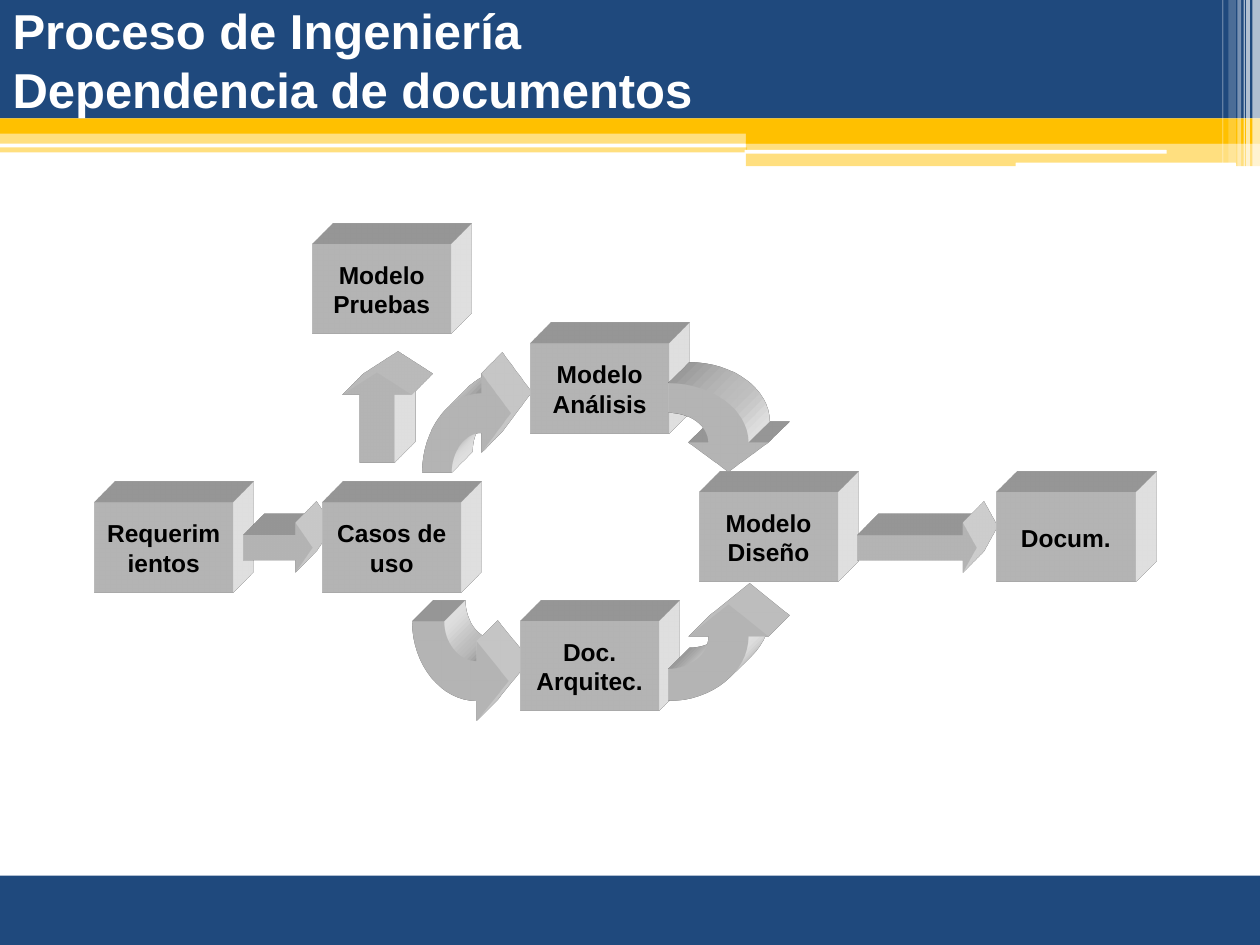
from lxml import etree
from pptx import Presentation
from pptx import util as u
from pptx.dml.color import RGBColor
from pptx.enum import shapes, text
from pptx.oxml import parse_xml
from pptx.oxml.ns import nsdecls, qn

COLORS = {"navy": "1F497D", "gold": "FFC000", "white": "FFFFFF", "black": "000000"}
FONT = "Arial"
BOX_WIDTH, BOX_HEIGHT = 1.1, 0.71
ARC_HANDLE = 0.55
SCENE = """<a:scene3d %s><a:camera prst="legacyObliqueTopRight"/>
<a:lightRig rig="legacyFlat3" dir="b"/></a:scene3d>""" % nsdecls("a")
SOLID = """<a:sp3d %s extrusionH="430200" prstMaterial="legacyMatte">
<a:bevelT w="13500" h="13500" prst="angle"/><a:bevelB w="13500" h="13500" prst="angle"/>
<a:extrusionClr><a:srgbClr val="%s"/></a:extrusionClr></a:sp3d>""" % (nsdecls("a"), COLORS["white"])


def write(frame, content, size=14, color="black", align=text.PP_ALIGN.CENTER):
    frame.word_wrap = True
    frame.vertical_anchor = text.MSO_ANCHOR.MIDDLE
    frame.text = content
    for paragraph in frame.paragraphs:
        paragraph.alignment = align
        for run in paragraph.runs:
            run.font.name = FONT
            run.font.size = u.Pt(size)
            run.font.bold = True
            run.font.color.rgb = RGBColor.from_string(COLORS[color])


def bend(lines):
    """Turn three line segments of a path into one cubic curve."""
    curve = etree.Element(qn("a:cubicBezTo"))
    lines[0].addprevious(curve)
    for line in lines:
        curve.append(line[0])
        line.getparent().remove(line)


def fit_path(shape, left, top, width, height):
    """Give the shape this frame while its outline stays in place."""
    path = shape._element.spPr.find(".//" + qn("a:path"))
    for point in path.iter(qn("a:pt")):
        point.set("x", str(int(point.get("x")) + shape.left - left))
        point.set("y", str(int(point.get("y")) + shape.top - top))
    path.set("w", str(width))
    path.set("h", str(height))
    shape.left, shape.top, shape.width, shape.height = left, top, width, height


class Canvas:
    def __init__(self, slide):
        self.slide = slide

    def paint(self, shape, color, alpha=100):
        shape.shadow.inherit = False
        shape.fill.solid()
        shape.fill.fore_color.rgb = RGBColor.from_string(COLORS[color])
        shape.line.fill.background()
        if alpha < 100:
            fill = shape._element.spPr.find(qn("a:solidFill"))
            etree.SubElement(fill[0], qn("a:alpha"), val=str(alpha * 1000))
        return shape

    def preset(self, kind, left, top, width, height, color="white", alpha=100):
        place = [u.Inches(value) for value in (left, top, width, height)]
        return self.paint(self.slide.shapes.add_shape(kind, *place), color, alpha)

    def bar(self, *place, color="white", alpha=100, rounded=False):
        kind = shapes.MSO_SHAPE.ROUNDED_RECTANGLE if rounded else shapes.MSO_SHAPE.RECTANGLE
        return self.preset(kind, *place, color, alpha)

    def extrude(self, shape):
        """Give the shape an oblique 3-D depth towards the top right."""
        for part in (SCENE, SOLID):
            shape._element.spPr.append(parse_xml(part))

    def box(self, left, top, label):
        shape = self.bar(left, top, BOX_WIDTH, BOX_HEIGHT)
        write(shape.text_frame, label)
        self.extrude(shape)

    def arrow(self, kind, left, top, width, height, head):
        shape = self.preset(kind, left, top, width, height)
        shape.adjustments[0] = 0.5
        shape.adjustments[1] = head
        self.extrude(shape)

    def curved_arrow(self, x, y, depth, heading, rotation=0):
        """Quarter ring around x, y with its head on the right; heading 1 is down, -1 up."""
        radius, half_head = 0.63, 0.315
        middle = radius * 0.75

        def arc(scale):
            across, along = radius * scale, -depth * scale
            return [(across, 0), (across, along * ARC_HANDLE), (across * ARC_HANDLE, along), (0, along)]

        inner, outer = arc(0.5), arc(1)[::-1]
        head = [(radius, 0), (middle + half_head, 0), (middle, depth / 2), (middle - half_head, 0)]
        points = [(u.Inches(x + a), u.Inches(y + b * heading)) for a, b in inner + outer + head]
        builder = self.slide.shapes.build_freeform(*points[0])
        builder.add_line_segments(points[1:], close=True)
        shape = builder.convert_to_shape()
        lines = shape._element.spPr.findall(".//" + qn("a:lnTo"))
        bend(lines[:3])
        bend(lines[4:7])
        fit_path(shape, u.Inches(x - radius), u.Inches(y - depth),
                 u.Inches(2 * radius), u.Inches(2 * depth))
        shape.rotation = rotation
        self.extrude(self.paint(shape, "white"))

    def title(self, content):
        shape = self.slide.shapes.title
        shape.left, shape.top = u.Inches(0), u.Inches(0)
        shape.width, shape.height = u.Inches(9.69), u.Inches(0.94)
        write(shape.text_frame, content, size=28, color="white", align=text.PP_ALIGN.LEFT)
        shape.text_frame.auto_size = text.MSO_AUTO_SIZE.NONE
        self.slide.shapes._spTree.append(shape._element)


def draw_frame(canvas):
    canvas.bar(0, 6.95, 10, 0.55, color="navy")
    canvas.bar(0, 1.17, 5.93, 0.04, color="gold", alpha=50)
    canvas.bar(0, 1.05, 10, 0.09, color="gold", alpha=50)
    canvas.bar(0, 0, 10, 0.94, color="navy")
    canvas.bar(0, 0.94, 10, 0.12, color="gold")
    canvas.bar(5.92, 1.04, 4.08, 0.1, color="gold")
    canvas.bar(5.92, 1.12, 4.08, 0.2, color="gold", alpha=50)
    canvas.bar(8.06, 1.29, 1.75, 0.04, rounded=True)
    stripes = [(9.94, 0.06, 65), (9.89, 0.03, 65), (9.87, 0.01, 60),
               (9.82, 0.03, 40), (9.75, 0.06, 20), (9.7, 0.01, 30)]
    for left, width, alpha in stripes:
        canvas.bar(left, 0, width, 1.38, alpha=alpha)
    canvas.bar(5.91, 1.19, 3.35, 0.03, rounded=True)


def draw_process(canvas):
    right_arrow, up_arrow = shapes.MSO_SHAPE.RIGHT_ARROW, shapes.MSO_SHAPE.UP_ARROW
    down, up = 1, -1
    canvas.curved_arrow(3.82, 3.75, 0.47, down, rotation=270)
    canvas.curved_arrow(3.78, 4.93, 0.51, up, rotation=90)
    canvas.arrow(right_arrow, 1.93, 4.15, 0.55, 0.39, 0.35)
    canvas.box(2.56, 3.99, "Casos de uso")
    canvas.box(4.21, 2.73, "Modelo\nAnálisis")
    canvas.box(4.13, 4.93, "Doc.\nArquitec.")
    canvas.curved_arrow(5.31, 5.05, 0.51, up)
    canvas.curved_arrow(5.31, 3.51, 0.47, down)
    canvas.box(2.48, 1.94, "Modelo\nPruebas")
    canvas.box(5.55, 3.91, "Modelo\nDiseño")
    canvas.arrow(right_arrow, 6.81, 4.15, 0.94, 0.39, 0.28)
    canvas.box(7.91, 3.91, "Docum.")
    canvas.arrow(up_arrow, 2.72, 2.96, 0.55, 0.71, 0.32)


def main():
    presentation = Presentation()
    presentation.slide_width, presentation.slide_height = u.Inches(10), u.Inches(7.5)
    canvas = Canvas(presentation.slides.add_slide(presentation.slide_layouts[5]))
    draw_frame(canvas)
    canvas.box(0.75, 3.99, "Requerimientos")
    canvas.title("Proceso de Ingeniería\vDependencia de documentos")
    draw_process(canvas)
    presentation.save("out.pptx")


if __name__ == "__main__":
    main()
